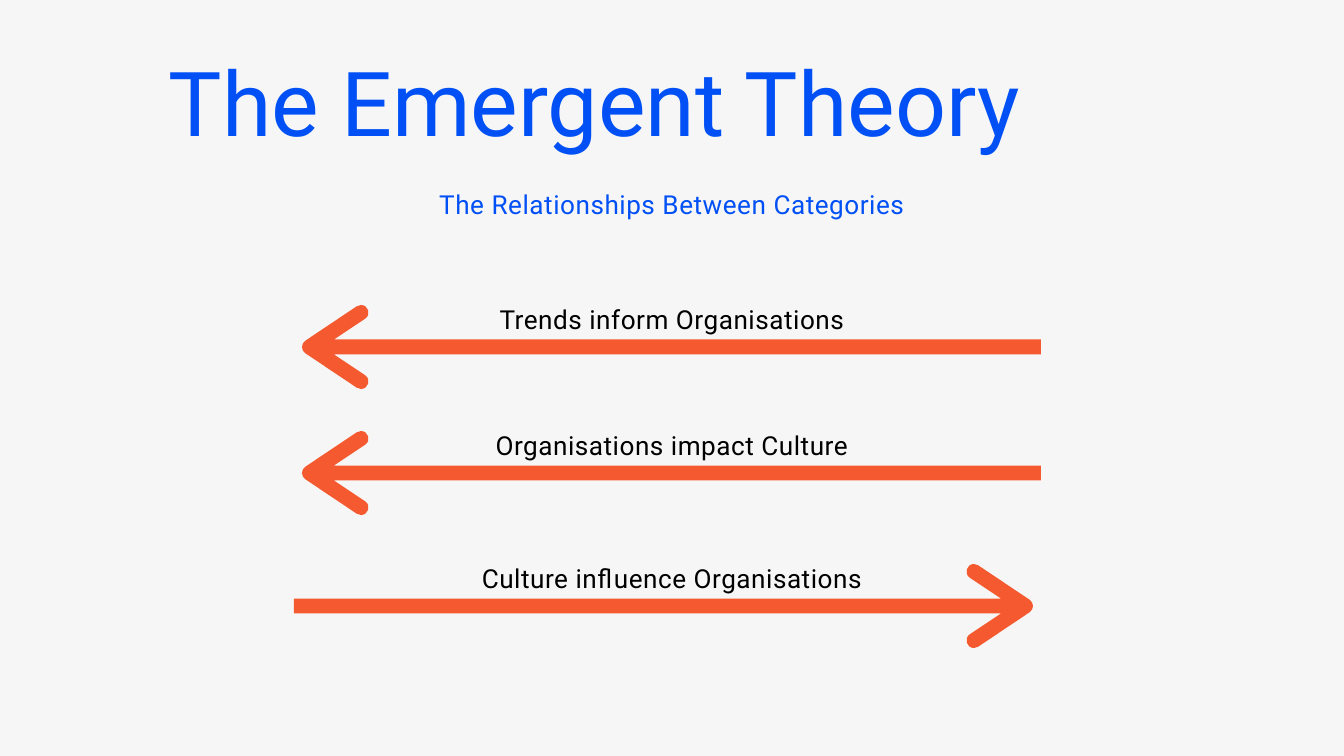
"""Builds the Emergent Theory slide: a heading and three labelled arrows."""
from math import cos, radians, sin, tan

from lxml.etree import SubElement
from pptx import Presentation
from pptx.dml.color import RGBColor as Rgb
from pptx.enum.text import PP_ALIGN as Align
from pptx.oxml.ns import qn
from pptx.util import Pt

PX = 914400 / 67.2
WIDTH, HEIGHT = 1344, 756
COLOURS = {"ground": "F6F6F6", "heading": "0050F5", "label": "000000", "arrow": "F4592F"}

TITLE = "The Emergent Theory"
SUBTITLE = "The Relationships Between Categories"
RELATIONSHIPS = [
    ("Trends inform Organisations", 364, "left", 302, 305),
    ("Organisations impact Culture", 374, "left", 302, 431),
    ("Culture influence Organisations", 403, "right", 294, 564),
]

ARROW_LENGTH, ARROW_HEIGHT = 739, 84
STROKE = 15
BARB_X, SHAFT_JOIN_X = 680, 707
BARB_ANGLE = 34
CURVE_STARTS = (3, 6, 10, 13, 17, 20)
LABEL_HEIGHT, LABEL_RISE = 38, 7


def emu(pixels):
    return round(pixels * PX)


def arc(x, y, start, end):
    """Gives the four Bezier points of a stroke-wide arc."""
    radius, start, end = STROKE / 2, radians(start), radians(end)
    reach = 4 / 3 * tan((end - start) / 4)
    turns = [(start, 0), (start, reach), (end, -reach), (end, 0)]
    return [(x + radius * (cos(a) - k * sin(a)), y + radius * (sin(a) + k * cos(a))) for a, k in turns]


def arrow_outline():
    radius, middle = STROKE / 2, ARROW_HEIGHT / 2
    inner, outer = BARB_ANGLE + 90, BARB_ANGLE + 270
    upper = [(0, middle - radius), (SHAFT_JOIN_X, middle - radius)]
    upper += arc(BARB_X, radius, inner, 270)
    upper += arc(BARB_X, radius, 270, outer)[1:]
    upper += arc(ARROW_LENGTH - radius, middle, outer, 360)
    return upper + [(x, ARROW_HEIGHT - y) for x, y in upper[-2::-1]]


def add_arrow(direction, left, top):
    outline = arrow_outline()
    if direction == "left":
        outline = [(ARROW_LENGTH - x, y) for x, y in outline]
    points = [(emu(left + x), emu(top + y)) for x, y in outline]
    builder = slide.shapes.build_freeform(*points[0])
    builder.add_line_segments(points[1:], close=True)
    arrow = builder.convert_to_shape()
    route = next(arrow._element.iter(qn("a:path")))
    steps = list(route)
    for first in CURVE_STARTS:
        curve = SubElement(route, qn("a:cubicBezTo"))
        route.replace(steps[first], curve)
        curve.append(steps[first][0])
        for step in steps[first + 1:first + 3]:
            curve.append(step[0])
            route.remove(step)
    arrow.shadow.inherit = False
    arrow.fill.solid()
    arrow.fill.fore_color.rgb = Rgb.from_string(COLOURS["arrow"])
    arrow.line.fill.background()


def add_text(wording, box, colour, size=28, leading=39.2, align=Align.CENTER, tracking=60):
    frame = slide.shapes.add_textbox(*map(emu, box)).text_frame
    frame.word_wrap = True
    frame.margin_left = frame.margin_right = frame.margin_top = frame.margin_bottom = 0
    paragraph = frame.paragraphs[0]
    paragraph.alignment = align
    paragraph.line_spacing = Pt(leading)
    run = paragraph.add_run()
    run.text = wording
    run.font.name = "Roboto"
    run.font.size = Pt(size)
    run.font.color.rgb = Rgb.from_string(COLOURS[colour])
    if tracking:
        run._r.get_or_add_rPr().set("spc", str(tracking))


deck = Presentation()
deck.slide_width, deck.slide_height = emu(WIDTH), emu(HEIGHT)
slide = deck.slides.add_slide(deck.slide_layouts[6])
slide.background.fill.solid()
slide.background.fill.fore_color.rgb = Rgb.from_string(COLOURS["ground"])

add_text(SUBTITLE, (169, 183, 1006, 36), "heading")
add_text(TITLE, (169, 56, 1006, 108), "heading", 96, 105.6, Align.LEFT, 0)
for _, _, direction, left, top in RELATIONSHIPS:
    add_arrow(direction, left, top)
for label, width, _, _, top in RELATIONSHIPS:
    add_text(label, ((WIDTH - width) / 2, top - LABEL_RISE, width, LABEL_HEIGHT), "label")

deck.save("out.pptx")
